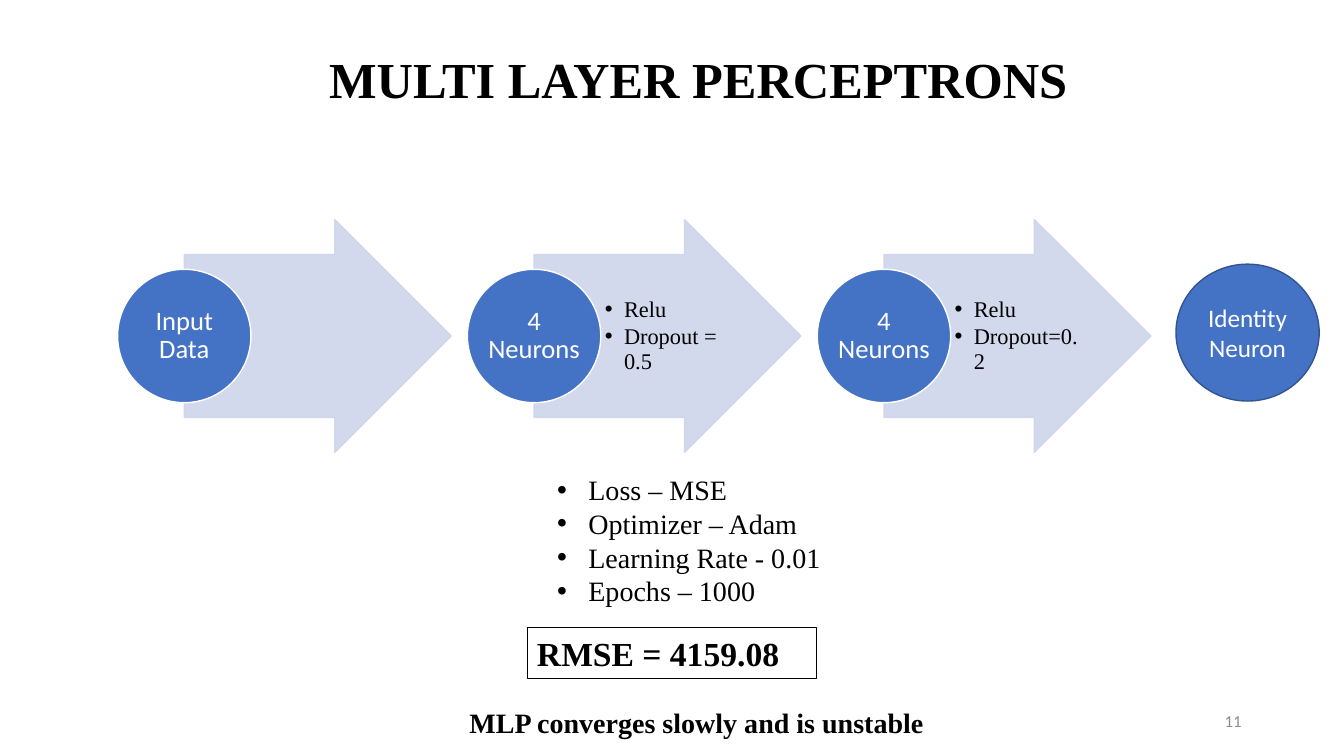
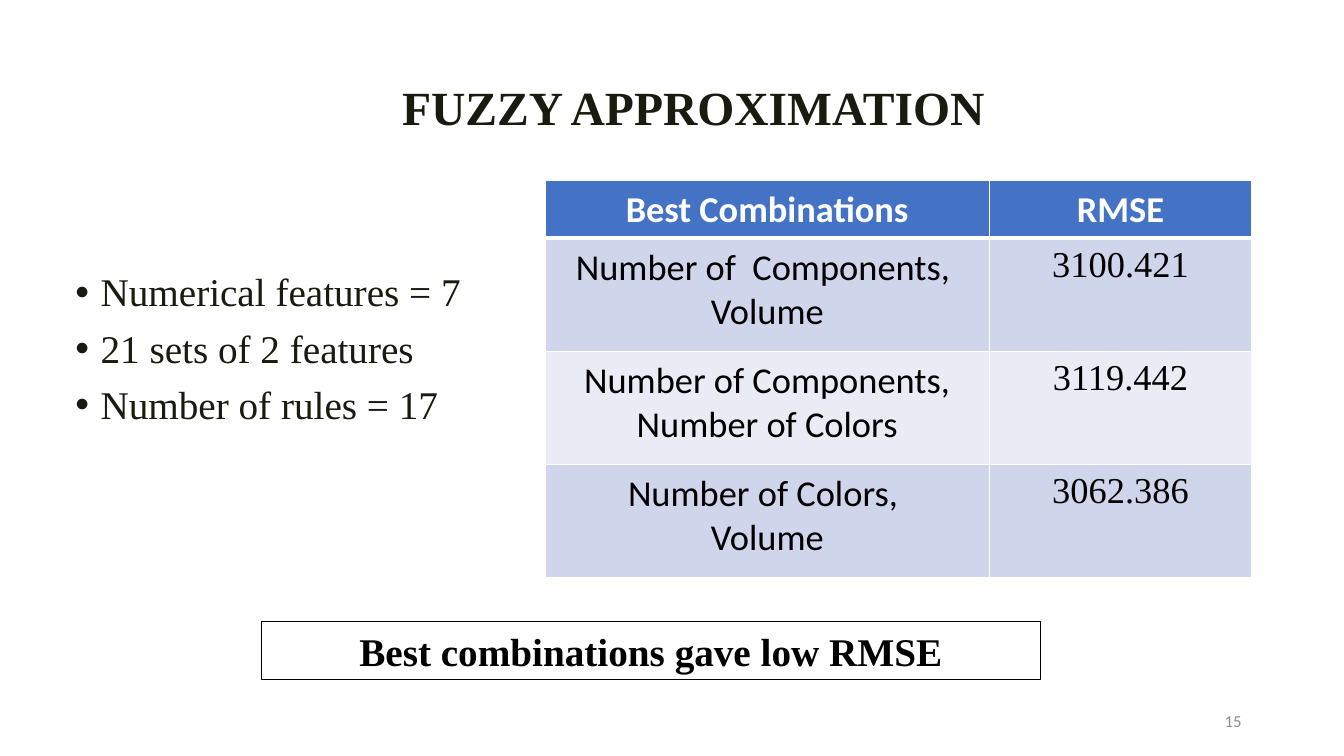
from lxml import etree
from pptx import Presentation
from pptx import util as u
from pptx.dml import color
from pptx.enum import shapes, text
from pptx.oxml import ns

COLS, ROWS = 32, 18
SLIDE_W, SLIDE_H = u.Inches(13.33), u.Inches(7.5)
SERIF, SANS = "Times New Roman", "Calibri"
BLACK, WHITE, GREY, OLIVE = "000000", "FFFFFF", "8C8C8C", "191B0E"
BLUE, NAVY, PALE, PALER = "4472C4", "325491", "CFD5EA", "E9EBF5"
NUMBER_BOX = (22.6, 16.68, 7.2, 0.96)
TITLE_STYLE = dict(bold=True, spacing=0.9, anchor="MIDDLE")
NOTE_STYLE = dict(font=SERIF, bold=True)


def rgb(value):
    """Turn a hex string into a colour."""
    return color.RGBColor.from_string(value)


def grid(box):
    """Turn columns and rows into slide lengths."""
    left, top, width, height = box
    col, row = SLIDE_W / COLS, SLIDE_H / ROWS
    return [round(n) for n in (left * col, top * row, width * col, height * row)]


def part(box, left, top, width, height):
    """Give the share of a box as a box."""
    x, y, w, h = box
    return x + left * w, y + top * h, width * w, height * h


def add_xml(parent, tag, **attributes):
    """Append an element from the drawing namespace."""
    return etree.SubElement(parent, ns.qn(tag), attributes)


def set_bullet(paragraph, indent):
    """Give a paragraph a hanging round bullet."""
    properties = paragraph._p.get_or_add_pPr()
    hang = u.Inches(indent)
    properties.set("marL", str(hang))
    properties.set("indent", str(-hang))
    add_xml(properties, "a:buFont", typeface="Arial")
    add_xml(properties, "a:buChar", char="•")


def write(frame, lines, size=18, font=SERIF, ink=BLACK, bold=False, align="LEFT",
          anchor="TOP", spacing=1.0, before=0, bullet=0, insets=None, wrap=True):
    """Fill a text frame with one paragraph per line."""
    frame.word_wrap = wrap
    frame.vertical_anchor = getattr(text.MSO_ANCHOR, anchor)
    if insets:
        (frame.margin_left, frame.margin_top,
         frame.margin_right, frame.margin_bottom) = map(u.Inches, insets)
    for index, line in enumerate(lines):
        paragraph = frame.paragraphs[0] if index == 0 else frame.add_paragraph()
        if bullet:
            set_bullet(paragraph, bullet)
        paragraph.alignment = getattr(text.PP_ALIGN, align)
        paragraph.line_spacing = spacing
        paragraph.space_before = u.Pt(before if index else 0)
        run = paragraph.add_run()
        run.text = line
        run.font.name, run.font.size, run.font.bold = font, u.Pt(size), bold
        run.font.color.rgb = rgb(ink)


def add_text(slide, box, lines, **style):
    """Place plain text in a box."""
    write(slide.shapes.add_textbox(*grid(box)).text_frame, lines, **style)


def add_figure(slide, kind, box, fill=None, line=BLACK, weight=1, lines=(), **style):
    """Place a preset shape with its text."""
    figure = slide.shapes.add_shape(getattr(shapes.MSO_SHAPE, kind), *grid(box))
    figure.shadow.inherit = False
    if fill:
        figure.fill.solid()
        figure.fill.fore_color.rgb = rgb(fill)
    else:
        figure.fill.background()
    figure.line.color.rgb = rgb(line)
    figure.line.width = u.Pt(weight)
    write(figure.text_frame, lines, **style)
    return figure


def add_result(slide, box, line, **style):
    """Place a result in a thin black frame."""
    add_figure(slide, "RECTANGLE", box, weight=0.75, lines=[line], **NOTE_STYLE, **style)


def add_neuron(slide, box, label, line=WHITE, **style):
    """Place a blue circle with its label."""
    add_figure(slide, "OVAL", box, BLUE, line, lines=[label], font=SANS, ink=WHITE,
               align="CENTER", anchor="MIDDLE", **style)


def add_layer(slide, box, label, details):
    """Place one layer: arrow, circle and settings."""
    _, _, width, height = box
    arrow = add_figure(slide, "RIGHT_ARROW", part(box, 0.2, 0, 0.8, 1), PALE, PALE)
    arrow.adjustments[0], arrow.adjustments[1] = 0.7, 0.5
    for solid in arrow._element.spPr.iter(ns.qn("a:srgbClr")):
        add_xml(solid, "a:alpha", val="90000")
    if details:
        add_text(slide, part(box, 0.4, 0.15, 0.39, 0.7), details, size=16, bullet=0.19,
                 spacing=0.9, before=2.4, anchor="MIDDLE", insets=(0.04, 0.01, 0.02, 0.01))
    share = 0.4 * width / height
    add_neuron(slide, part(box, 0, (1 - share) / 2, 0.4, share), label, size=19,
               spacing=0.9, insets=(0.01,) * 4)


def set_border(cell, side, weight):
    """Draw one white side of a cell."""
    line = add_xml(cell._tc.get_or_add_tcPr(), f"a:ln{side}", w=str(u.Pt(weight)))
    add_xml(add_xml(line, "a:solidFill"), "a:srgbClr", val=WHITE)


def add_scores(slide, box, widths, heights, rows):
    """Place the table of combinations and errors."""
    table = slide.shapes.add_table(len(rows), len(widths), *grid(box)).table
    for column, width in zip(table.columns, widths):
        column.width = grid((0, 0, width, 0))[2]
    for r, (row, height, entries) in enumerate(zip(table.rows, heights, rows)):
        row.height = grid((0, 0, 0, height))[3]
        for c, (cell, lines) in enumerate(zip(row.cells, entries)):
            for side in "LRTB":
                set_border(cell, side, 3 if (side, r) in (("B", 0), ("T", 1)) else 1)
            cell.fill.solid()
            cell.fill.fore_color.rgb = rgb(BLUE if r == 0 else PALE if r % 2 else PALER)
            cell.margin_left = cell.margin_right = u.Inches(0.15)
            cell.margin_top = cell.margin_bottom = u.Inches(0.07)
            write(cell.text_frame, lines, size=26, align="CENTER", bold=r == 0,
                  font=SERIF if r and c else SANS, ink=BLACK if r else WHITE)


def start_slide(deck, title, box, number, **style):
    """Add a slide with its title and number."""
    slide = deck.slides.add_slide(deck.slide_layouts[6])
    add_text(slide, box, [title], **TITLE_STYLE, **style)
    add_text(slide, NUMBER_BOX, [number], size=12, font=SANS, ink=GREY,
             align="RIGHT", anchor="MIDDLE")
    return slide


def build_perceptrons(deck):
    """Build the slide on the network layers."""
    slide = start_slide(deck, "MULTI LAYER PERCEPTRONS", (7.6, 0, 20.4, 3.89), "11", size=36)
    layers = [("Input Data", []),
              ("4 Neurons", ["Relu", "Dropout = 0.5"]),
              ("4 Neurons", ["Relu", "Dropout=0.2"])]
    for index, (label, details) in enumerate(layers):
        add_layer(slide, (2.8 + 8.33 * index, 5.23, 7.94, 5.54), label, details)
    add_neuron(slide, (28, 6.29, 3.41, 3.26), "Identity Neuron", line=NAVY, size=18)
    settings = ["Loss – MSE", "Optimizer – Adam", "Learning Rate - 0.01", "Epochs – 1000"]
    add_text(slide, (13.03, 11.14, 6.89, 3.48), settings, size=20, bullet=0.31)
    add_result(slide, (12.55, 14.95, 6.89, 1.2), "RMSE = 4159.08", size=24)
    add_text(slide, (10.94, 16.68, 11.38, 1.06), ["MLP converges slowly and is unstable"],
             size=20, wrap=False, **NOTE_STYLE)


def build_fuzzy(deck):
    """Build the slide on the feature combinations."""
    slide = start_slide(deck, "FUZZY APPROXIMATION", (9.34, 1.03, 16.56, 3.17), "15",
                        size=34, ink=OLIVE)
    features = ["Numerical features = 7", "21 sets of 2 features", "Number of rules = 17"]
    add_text(slide, (1.56, 6.38, 10.54, 9.12), features, size=28, ink=OLIVE,
             bullet=0.25, spacing=0.9, before=10)
    scores = [(["Best Combinations"], ["RMSE"]),
              (["Number of  Components, ", "Volume"], ["3100.421"]),
              (["Number of Components, Number of Colors"], ["3119.442"]),
              (["Number of Colors, ", "Volume"], ["3062.386"])]
    add_scores(slide, (12.98, 4.3, 16.82, 9.44), [10.58, 6.24], [1.37] + [2.69] * 3, scores)
    add_result(slide, (6.22, 14.81, 18.55, 1.37), "Best combinations gave low RMSE",
               size=28, align="CENTER")


def main():
    """Build and save the deck."""
    deck = Presentation()
    deck.slide_width, deck.slide_height = SLIDE_W, SLIDE_H
    build_perceptrons(deck)
    build_fuzzy(deck)
    deck.save("out.pptx")


if __name__ == "__main__":
    main()
